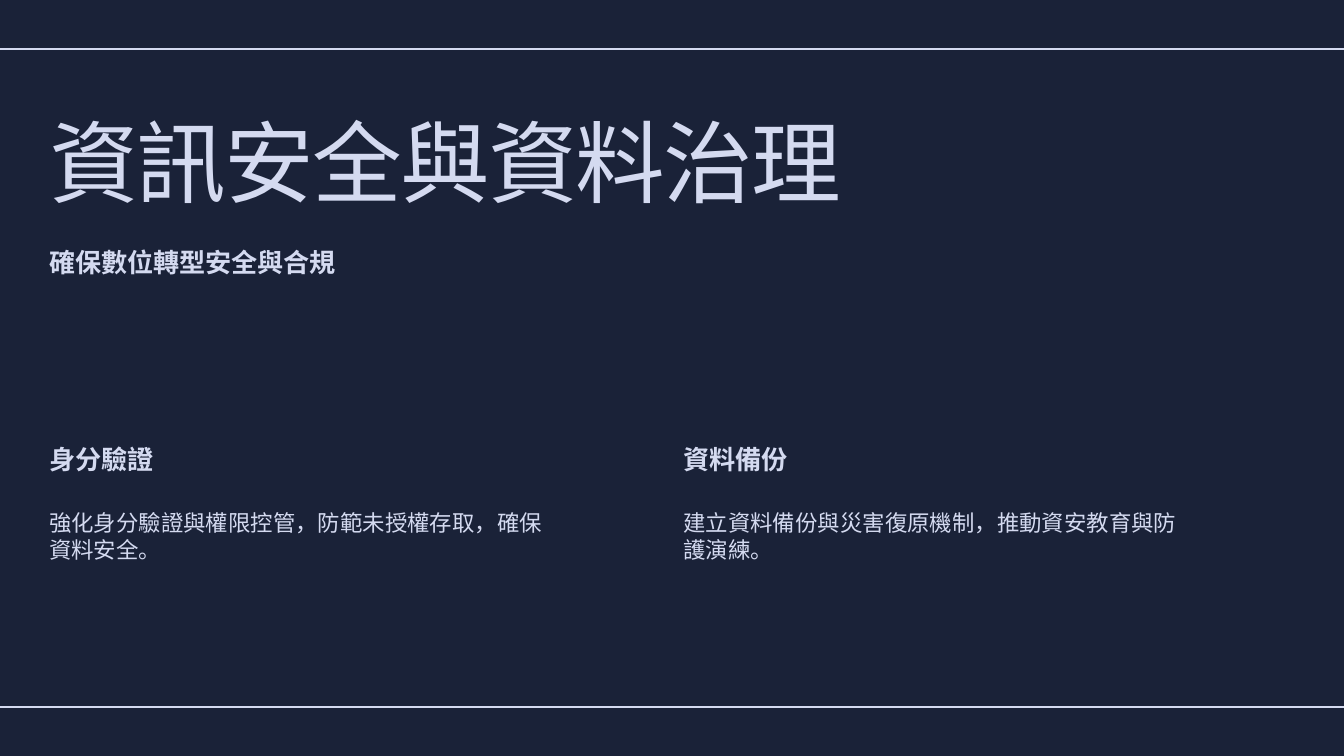
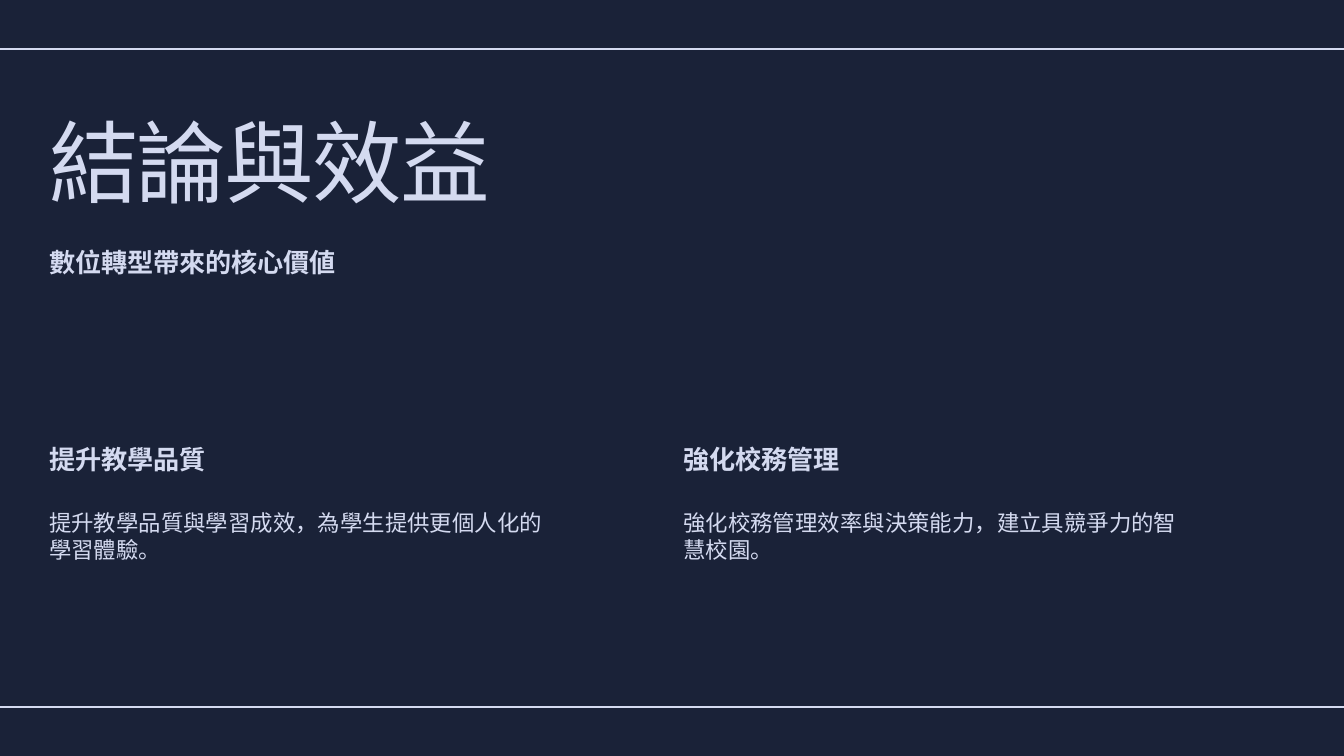
from collections import namedtuple

from lxml import etree
from pptx import Presentation
from pptx import util as u
from pptx.dml import color
from pptx.enum import shapes, text
from pptx.oxml import ns

Box = namedtuple("Box", "x y w h")
Style = namedtuple("Style", "font size leading bold spacing")


class Theme:
    """Colours, type styles and page grid shared by all slides."""
    ground = color.RGBColor.from_string("1A2238")
    ink = color.RGBColor.from_string("D4DAF0")
    title = Style("Arial Narrow", 96, 96, False, -1.9)
    heading = Style("Arial", 28, 33.6, True, 0)
    body = Style("Arial", 24, 28.8, False, 0)
    rule_width = 1.5
    width, height = 20, 11.25
    margin, gutter = 0.73, 0.34
    text_width = 7.53


PAGE = Box(0, 0, Theme.width, Theme.height)
HEADER = Box(Theme.margin, 1.86, Theme.width - 2 * Theme.margin, 2.27)
COLUMNS = Box(Theme.margin, 6.6, HEADER.w, 1.77)

SLIDES = [
    ("資訊安全與資料治理", "確保數位轉型安全與合規", [
        ("身分驗證", "強化身分驗證與權限控管，防範未授權存取，確保資料安全。"),
        ("資料備份", "建立資料備份與災害復原機制，推動資安教育與防護演練。"),
    ]),
    ("結論與效益", "數位轉型帶來的核心價値", [
        ("提升教學品質", "提升教學品質與學習成效，為學生提供更個人化的學習體驗。"),
        ("強化校務管理", "強化校務管理效率與決策能力，建立具競爭力的智慧校園。"),
    ]),
]


def inches(*lengths):
    """Convert lengths in inches to slide units."""
    return [u.Inches(n) for n in lengths]


def write(sp, words, style):
    """Fill a text shape with one paragraph in the given style."""
    tf = sp.text_frame
    tf.margin_left = tf.margin_top = tf.margin_right = tf.margin_bottom = 0
    tf.word_wrap = True
    tf.vertical_anchor = text.MSO_ANCHOR.TOP
    tf.auto_size = text.MSO_AUTO_SIZE.SHAPE_TO_FIT_TEXT
    tf.text = words
    p = tf.paragraphs[0]
    p.alignment = text.PP_ALIGN.LEFT
    p.space_before = u.Pt(0)
    p.line_spacing = u.Pt(style.leading)
    r = p.runs[0]
    r.font.name, r.font.size = style.font, u.Pt(style.size)
    r.font.bold = style.bold
    r.font.color.rgb = Theme.ink
    if style.spacing:
        r._r.get_or_add_rPr().set("spc", str(round(style.spacing * 100)))


def add_text(parent, box, words, style):
    """Add a text box to a slide or group."""
    write(parent.shapes.add_textbox(*inches(*box)), words, style)


def add_rules(s, box):
    """Draw the two horizontal rules one margin in from top and bottom."""
    for y in (box.y + Theme.margin, box.y + box.h - Theme.margin):
        line = s.shapes.add_connector(
            shapes.MSO_CONNECTOR.STRAIGHT, *inches(box.x, y, box.x + box.w, y))
        line.line.color.rgb = Theme.ink
        line.line.width = u.Pt(Theme.rule_width)
        etree.SubElement(line._element.spPr, ns.qn("a:effectLst"))


def add_header(s, box, title, subtitle):
    """Place the title at the top of the box and the subtitle at its foot."""
    sp = s.shapes.title
    sp.left, sp.top, sp.width, sp.height = inches(box.x, box.y, box.w, 1.45)
    write(sp, title, Theme.title)
    subtitle_h = 0.46
    add_text(s, Box(box.x, box.y + box.h - subtitle_h, box.w, subtitle_h),
             subtitle, Theme.heading)


def add_columns(s, box, columns):
    """Set headed paragraphs side by side in equal columns."""
    pitch = (box.w + Theme.gutter) / len(columns)
    body_h = 0.79
    for i, (heading, body) in enumerate(columns):
        x = box.x + i * pitch
        group = s.shapes.add_group_shape()
        add_text(group, Box(x, box.y, Theme.text_width, 0.46),
                 heading, Theme.heading)
        add_text(group, Box(x, box.y + box.h - body_h, Theme.text_width, body_h),
                 body, Theme.body)


def add_topic_slide(prs, title, subtitle, columns):
    """Add a slide with a header and its columns between two rules."""
    s = prs.slides.add_slide(prs.slide_layouts.get_by_name("Title Only"))
    add_columns(s, COLUMNS, columns)
    add_header(s, HEADER, title, subtitle)
    add_rules(s, PAGE)


def main():
    """Build and save the presentation."""
    prs = Presentation()
    prs.slide_width, prs.slide_height = inches(Theme.width, Theme.height)
    fill = prs.slide_master.background.fill
    fill.solid()
    fill.fore_color.rgb = Theme.ground
    for topic in SLIDES:
        add_topic_slide(prs, *topic)
    prs.save("out.pptx")


if __name__ == "__main__":
    main()
